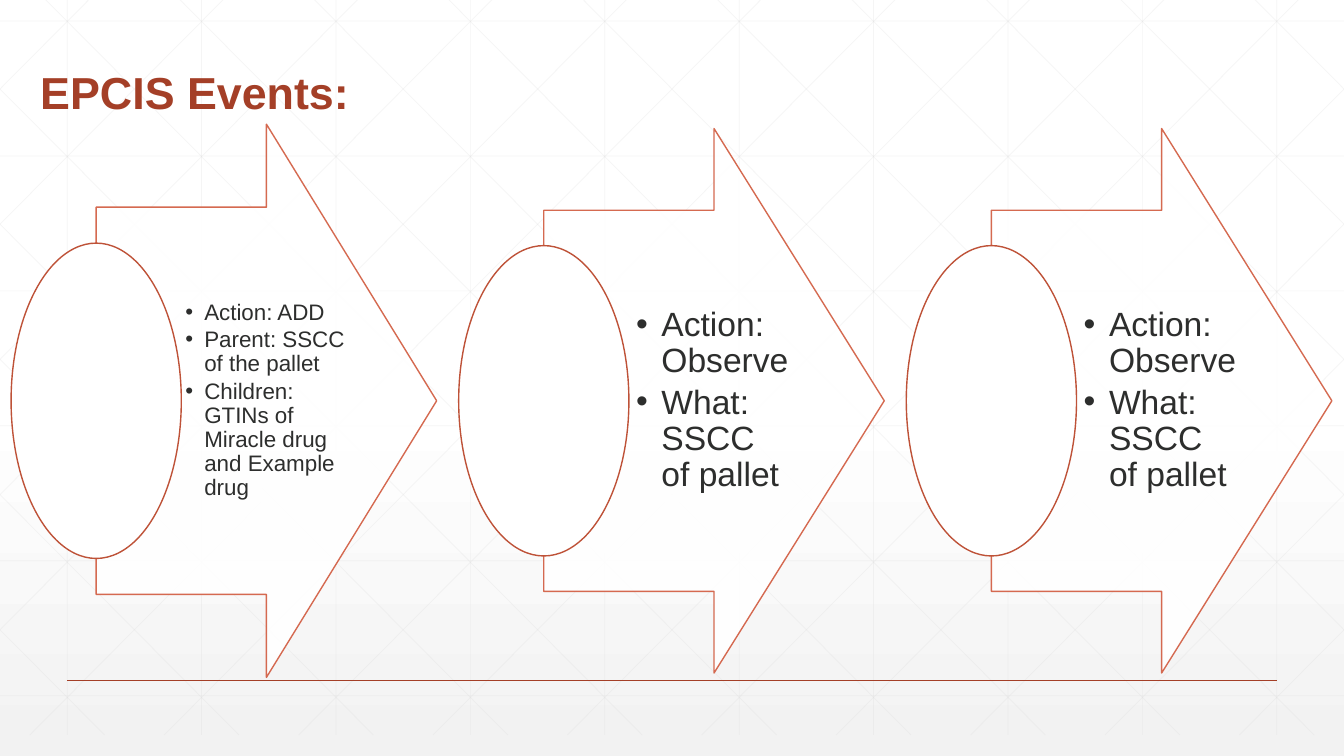
"""Build the EPCIS events slide with three arrow cards on a faint grid."""
from lxml.etree import SubElement
from pptx import Presentation
from pptx.dml.color import RGBColor
from pptx.enum.shapes import MSO_CONNECTOR, MSO_SHAPE
from pptx.enum.text import MSO_ANCHOR, PP_ALIGN
from pptx.oxml.ns import qn
from pptx.util import Cm, Pt

TITLE = "EPCIS Events:"
SCAN = ["Action: Observe", "What: SSCC of pallet"]
PACK = ["Action: ADD", "Parent: SSCC of the pallet",
        "Children: GTINs of Miracle drug and Example drug"]
SMALL = {"size": 16, "tall": 13.94, "hang": 0.48, "pads": (0.1, 0.03, 0.05, 0.03)}
LARGE = {"size": 24, "tall": 13.72, "hang": 0.64, "pads": (0.18, 0.05, 0.08, 0.05)}
CARDS = [(PACK, SMALL), (SCAN, LARGE), (SCAN, LARGE)]
COLORS = {"white": "FFFFFF", "base": "F2F2F2", "grid": "D9D9D9", "title": "A43F27",
          "arrow": "D15A3E", "oval": "BE5238", "text": "2D2E2D"}
FONT = "Arial"
WIDE, HIGH = 33.87, 19.05
STEP = WIDE / 10
TOP, END = -0.53, 18.52
SLANT = 18.94
LEFT, PITCH, HALF, MID = 0.28, 11.28, 4.29, 10.1


def color(name):
    return RGBColor.from_string(COLORS[name])


def fade(shape, share):
    for node in list(shape._element.spPr.iter(qn("a:srgbClr"))):
        SubElement(node, qn("a:alpha"), val=str(share * 1000))


def style(font, size, name):
    font.name, font.size = FONT, Pt(size)
    font.color.rgb = color(name)


def rule(start, end, name, width):
    line = slide.shapes.add_connector(
        MSO_CONNECTOR.STRAIGHT, *(Cm(n) for n in (*start, *end)))
    line.line.color.rgb = color(name)
    line.line.width = Pt(width)
    SubElement(line._element.spPr, qn("a:effectLst"))
    return line


def grid():
    lines = [((STEP * (i + 0.5), TOP), (STEP * (i + 0.5), END)) for i in range(10)]
    lines += [((0, 0.53 + 3.4 * i), (WIDE, 0.53 + 3.4 * i)) for i in range(6)]
    slope = (END - TOP) / SLANT
    for i in range(-5, 10):
        head = 0.63 + STEP * i
        near, far = max(head, 0), min(head + SLANT, WIDE)
        high, low = (TOP + (x - head) * slope for x in (near, far))
        lines.append(((near, high), (far, low)))
        lines.append(((WIDE - near, high), (WIDE - far, low)))
    for start, end in lines:
        fade(rule(start, end, "grid", 0.5), 25)


def shape(kind, left, wide, tall, edge):
    item = slide.shapes.add_shape(
        kind, Cm(left), Cm(MID - tall / 2), Cm(wide), Cm(tall))
    item.shadow.inherit = False
    item.fill.solid()
    item.fill.fore_color.rgb = color("white")
    item.line.color.rgb = color(edge)
    item.line.width = Pt(1)
    return item


def bullets(left, tall, items, look):
    box = slide.shapes.add_textbox(
        Cm(left), Cm(MID - tall / 2), Cm(4.19), Cm(tall))
    frame = box.text_frame
    frame.word_wrap = True
    frame.vertical_anchor = MSO_ANCHOR.MIDDLE
    (frame.margin_left, frame.margin_top,
     frame.margin_right, frame.margin_bottom) = map(Cm, look["pads"])
    frame.text = "\n".join(items)
    for para in frame.paragraphs:
        para.level = 1
        para.line_spacing = 0.9
        para.space_after = Pt(look["size"] * 0.15)
        props = para._p.get_or_add_pPr()
        props.set("marL", str(Cm(look["hang"])))
        props.set("indent", str(-Cm(look["hang"])))
        SubElement(props, qn("a:buFont"), typeface=FONT)
        SubElement(props, qn("a:buChar"), char="•")
        style(para.font, look["size"], "text")


def card(left, items, look):
    tall = look["tall"]
    arrow = shape(MSO_SHAPE.RIGHT_ARROW, left + HALF / 2, HALF * 2, tall, "arrow")
    arrow.adjustments[0], arrow.adjustments[1] = 0.7, 0.5
    fade(arrow, 90)
    bullets(left + HALF, tall * 0.7, items, look)
    shape(MSO_SHAPE.OVAL, left, HALF, tall * 0.57, "oval")


def head():
    title = slide.shapes.title
    title.left, title.top, title.width, title.height = map(
        Cm, (0.76, 1.19, 26.67, 1.93))
    title._element.getparent().append(title._element)
    frame = title.text_frame
    frame.text = TITLE
    frame.vertical_anchor = MSO_ANCHOR.BOTTOM
    para = frame.paragraphs[0]
    para.alignment = PP_ALIGN.LEFT
    para.line_spacing = 0.9
    style(para.font, 32, "title")
    para.font.bold = True


deck = Presentation()
deck.slide_width, deck.slide_height = Cm(WIDE), Cm(HIGH)
slide = deck.slides.add_slide(deck.slide_layouts[5])
back = slide.background.fill
back.gradient()
back.gradient_angle = 270
for stop, name, place in zip(back.gradient_stops, ("white", "base"), (0.53, 1)):
    stop.color.rgb = color(name)
    stop.position = place
grid()
rule((1.7, 17.15), (32.17, 17.15), "title", 1)
head()
for i, (items, look) in enumerate(CARDS):
    card(LEFT + PITCH * i, items, look)
deck.save("out.pptx")
